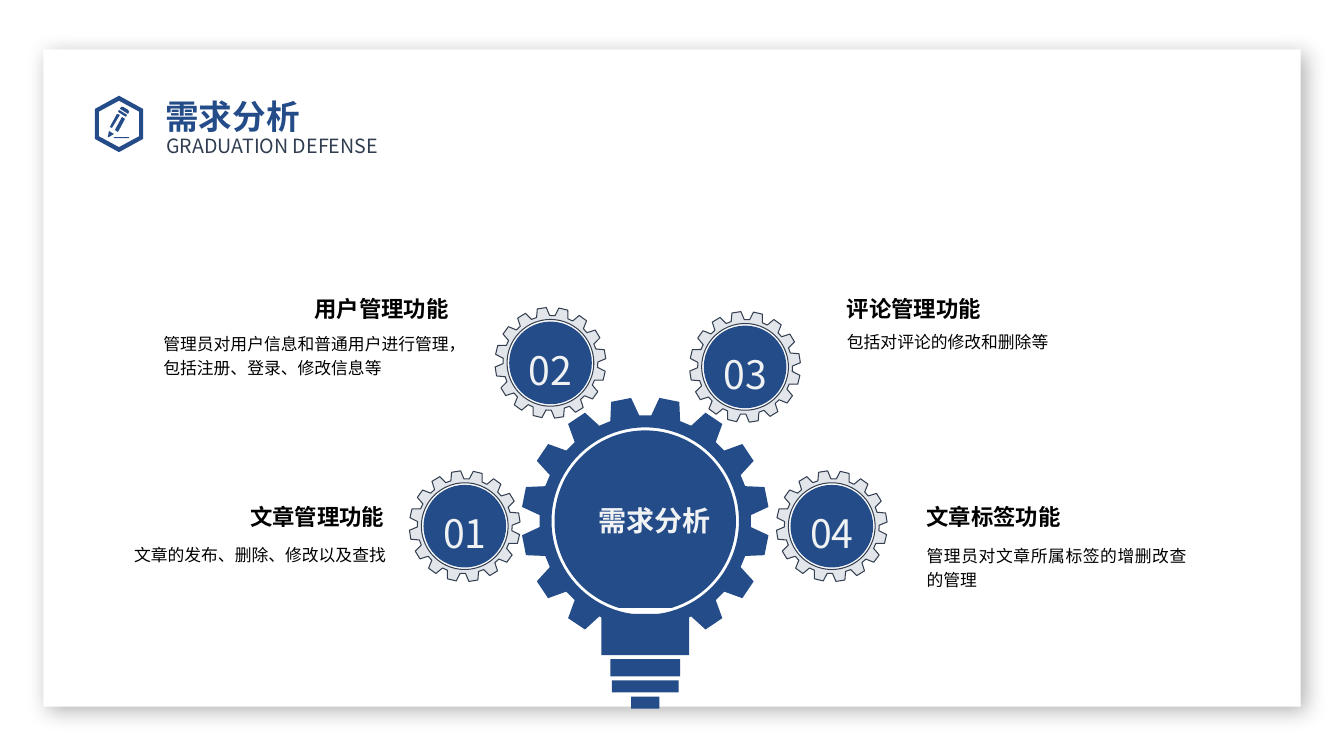
"""Build the requirements-analysis slide: a gear bulb with four numbered functions."""
from dataclasses import dataclass
from math import cos, radians, sin

from lxml import etree
from pptx import Presentation
from pptx.dml.color import RGBColor
from pptx.enum.shapes import MSO_SHAPE
from pptx.enum.text import MSO_AUTO_SIZE, PP_ALIGN
from pptx.oxml.ns import qn
from pptx.util import Inches, Pt

RECT, OVAL = MSO_SHAPE.RECTANGLE, MSO_SHAPE.OVAL
LEFT, RIGHT, CENTER, JUSTIFY = PP_ALIGN.LEFT, PP_ALIGN.RIGHT, PP_ALIGN.CENTER, PP_ALIGN.JUSTIFY
FIT = MSO_AUTO_SIZE.SHAPE_TO_FIT_TEXT


@dataclass(frozen=True)
class Theme:
    font: str = "Noto Sans CJK SC"
    blue: str = "244C89"
    slate: str = "313D51"
    edge: str = "333F50"
    pale: str = "E2E6EA"
    light: str = "F0F2F4"
    black: str = "000000"
    white: str = "FFFFFF"
    title: int = 24
    subtitle: int = 14
    heading: int = 16
    body: int = 12
    hub: int = 20
    number: int = 28


T = Theme()
W, H = 13.33, 7.5
CARD = (0.43, 0.49, 12.47, 6.52)
TITLE, SUBTITLE = "需求分析", "GRADUATION DEFENSE"
HEADING_SIZE = (2.46, 0.28)

FUNCTIONS = [
    {"number": "01", "gear": (4.61, 5.22),
     "heading": ("文章管理功能", 1.35, 4.94, RIGHT),
     "body": ("文章的发布、删除、修改以及查找", (1.33, 5.36, 2.83, 0.21), LEFT)},
    {"number": "02", "gear": (5.46, 3.6),
     "heading": ("用户管理功能", 1.99, 2.87, RIGHT),
     "body": ("管理员对用户信息和普通用户进行管理，包括注册、登录、修改信息等",
              (1.62, 3.27, 2.98, 0.45), LEFT)},
    {"number": "03", "gear": (7.39, 3.64),
     "heading": ("评论管理功能", 8.4, 2.87, LEFT),
     "body": ("包括对评论的修改和删除等", (8.4, 3.25, 2.74, 0.21), JUSTIFY)},
    {"number": "04", "gear": (8.25, 5.22),
     "heading": ("文章标签功能", 9.19, 4.94, LEFT),
     "body": ("管理员对文章所属标签的增删改查的管理", (9.19, 5.37, 2.58, 0.45), JUSTIFY)},
]

HUB = (6.4, 5.17)
TEETH = 16
BULB_BASE = [(0.87, 6.09, 6.5), (0.69, 6.54, 6.71), (0.66, 6.75, 6.87), (0.28, 6.91, 7.03)]
ICON_CENTER = (1.18, 1.23)
HEXAGONS = [(0.24, 0.28), (0.2, 0.23)]
PENCIL = [
    [(1.13, 1.36), (1.28, 1.36), (1.28, 1.37), (1.13, 1.37)],
    [(1.14, 1.29), (1.21, 1.16), (1.24, 1.18), (1.17, 1.31)],
    [(1.09, 1.26), (1.16, 1.13), (1.19, 1.14), (1.11, 1.27)],
    [(1.07, 1.36), (1.08, 1.3), (1.13, 1.33), (1.08, 1.36)],
    [(1.18, 1.09), (1.17, 1.11), (1.25, 1.16), (1.26, 1.14)],
    [(1.19, 1.08), (1.2, 1.06), (1.22, 1.06), (1.27, 1.09), (1.28, 1.11), (1.27, 1.13)],
]


def polar(center, r, deg):
    """Return the point at a clockwise angle from twelve o'clock."""
    return center[0] + r * sin(radians(deg)), center[1] - r * cos(radians(deg))


def arc(center, r, start=0, end=360, steps=90):
    """Return points along a circular arc."""
    return [polar(center, r, start + (end - start) * i / steps) for i in range(steps + 1)]


def gear(center, tip, root, hole, phase):
    """Return the toothed outline and the round hole of a gear."""
    corners = ((root, -8), (tip, -4.7), (tip, 4.7), (root, 8))
    outline = [polar(center, r, phase + i * 360 / TEETH + turn)
               for i in range(TEETH) for r, turn in corners]
    return [outline, arc(center, hole)]


def hexagon(center, half_w, half_h):
    """Return the corners of an upright hexagon."""
    x, y = center
    sides = ((0, -1), (1, -0.53), (1, 0.53), (0, 1), (-1, 0.53), (-1, -0.53))
    return [(x + half_w * a, y + half_h * b) for a, b in sides]


def paint(sp, fill, line=None):
    """Give a shape a flat fill and an optional thin line."""
    sp.shadow.inherit = False
    sp.fill.solid()
    sp.fill.fore_color.rgb = RGBColor.from_string(fill)
    if line:
        sp.line.color.rgb = RGBColor.from_string(line)
        sp.line.width = Pt(0.75)
    else:
        sp.line.fill.background()
    return sp


def add_preset(s, kind, box, fill):
    """Add a preset shape."""
    return paint(s.shapes.add_shape(kind, *map(Inches, box)), fill)


def add_outline(s, contours, fill, line=None):
    """Add one freeform made of closed contours."""
    paths = [[(Inches(x), Inches(y)) for x, y in c] for c in contours]
    fb = s.shapes.build_freeform(*paths[0][0])
    for i, points in enumerate(paths):
        if i:
            fb.move_to(*points[0])
        fb.add_line_segments(points[1:], close=True)
    return paint(fb.convert_to_shape(), fill, line)


def add_text(s, text, box, size, color, bold=False, align=LEFT,
             inset=(0, 0, 0, 0), spacing=1.2, wrap=True, fit=True):
    """Add a text box holding one run."""
    tf = s.shapes.add_textbox(*map(Inches, box)).text_frame
    tf.word_wrap = wrap
    if fit:
        tf.auto_size = FIT
    tf.margin_left, tf.margin_top, tf.margin_right, tf.margin_bottom = map(Inches, inset)
    p = tf.paragraphs[0]
    p.alignment, p.line_spacing = align, spacing
    r = p.add_run()
    r.text = text
    r.font.name, r.font.size, r.font.bold = T.font, Pt(size), bold
    r.font.color.rgb = RGBColor.from_string(color)
    etree.SubElement(r.font._element, qn("a:ea"), typeface=T.font)


def add_card(s):
    """Add the white card with its soft shadow."""
    sp = add_preset(s, RECT, CARD, T.white)
    effects = sp._element.spPr.find(qn("a:effectLst"))
    shadow = etree.SubElement(effects, qn("a:outerShdw"), blurRad=str(Pt(15)),
                              dist=str(Pt(5)), dir="2700000", algn="tl", rotWithShape="0")
    color = etree.SubElement(shadow, qn("a:srgbClr"), val=T.black)
    etree.SubElement(color, qn("a:alpha"), val="30000")


def add_function(s, item):
    """Add one numbered gear with its heading and description."""
    x, y = item["gear"]
    add_outline(s, gear((x, y), 0.55, 0.47, 0.43, 13.5), T.pale, T.edge)
    add_preset(s, OVAL, (x - 0.41, y - 0.41, 0.82, 0.82), T.blue)
    add_text(s, item["number"], (x - 0.33, y - 0.31, 0.66, 0.62), T.number, T.light,
             align=CENTER, inset=(0.1, 0.05, 0.1, 0.05), wrap=False)
    text, left, top, align = item["heading"]
    add_text(s, text, (left, top, *HEADING_SIZE), T.heading, T.black, True, align)
    text, box, align = item["body"]
    add_text(s, text, box, T.body, T.black, align=align)


def main():
    prs = Presentation()
    prs.slide_width, prs.slide_height = Inches(W), Inches(H)
    s = prs.slides.add_slide(prs.slide_layouts[6])
    add_card(s)
    add_outline(s, [hexagon(ICON_CENTER, *half) for half in HEXAGONS] + PENCIL, T.blue)
    add_text(s, SUBTITLE, (1.65, 1.24, 2.17, 0.34), T.subtitle, T.slate,
             inset=(0, 0, 0, 0.05), spacing=Pt(23))
    add_text(s, TITLE, (1.54, 0.82, 3.97, 0.5), T.title, T.blue, True,
             inset=(0.1, 0.05, 0.1, 0.05), fit=False)
    add_outline(s, gear(HUB, 1.23, 1.05, 0.93, 11.25), T.blue)
    base = [[(HUB[0] + side * w / 2, y) for side, y in
             ((-1, top), (1, top), (1, bottom), (-1, bottom))] for w, top, bottom in BULB_BASE]
    add_outline(s, base, T.blue)
    add_outline(s, [arc(HUB, 0.9, 197, 523)], T.blue)
    add_text(s, TITLE, (5.65, 4.88, 1.69, 0.47), T.hub, T.light, True, CENTER,
             inset=(0.1, 0.05, 0.1, 0.05))
    for item in FUNCTIONS:
        add_function(s, item)
    prs.save("out.pptx")


if __name__ == "__main__":
    main()
